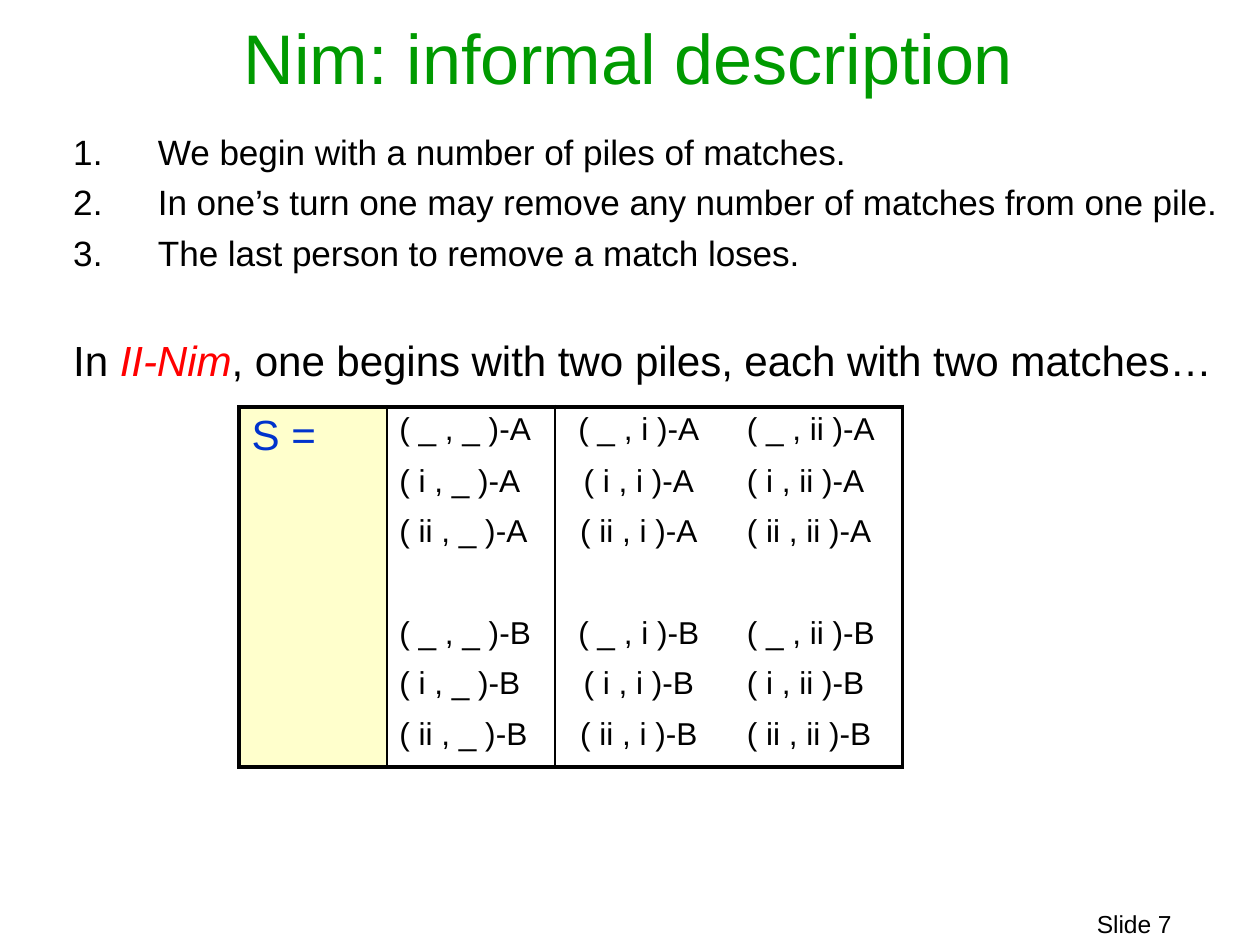
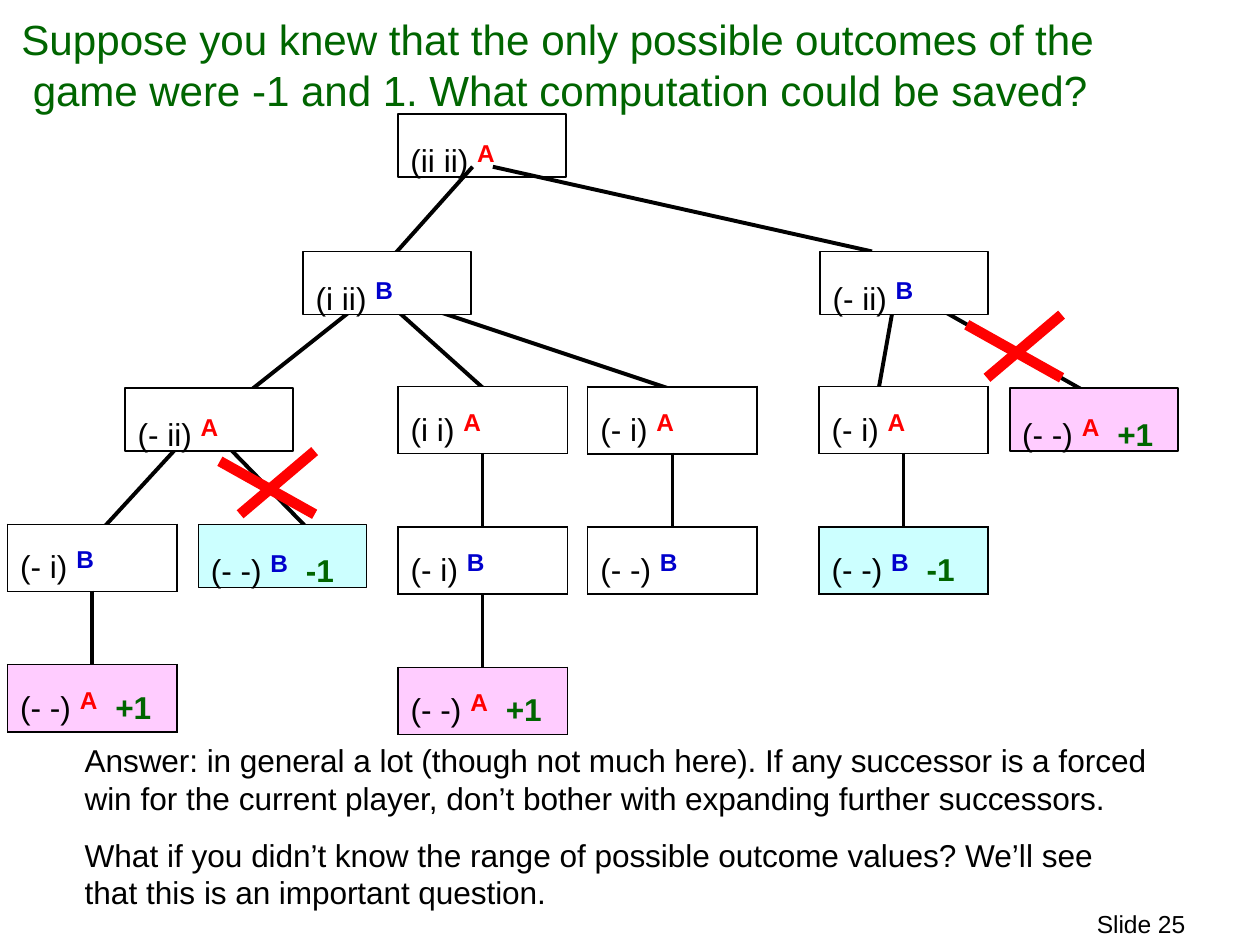
from dataclasses import dataclass
from typing import Optional

from lxml.etree import SubElement
from pptx import Presentation
from pptx.dml.color import RGBColor
from pptx.enum.shapes import MSO_CONNECTOR, MSO_SHAPE
from pptx.enum.text import MSO_ANCHOR, PP_ALIGN
from pptx.oxml.ns import qn
from pptx.util import Inches, Pt

FONT = "Arial"
BLACK, LINE, WHITE = "000000", "010101", "FFFFFF"
TITLE_GREEN, DARK_GREEN = "009A00", "006500"
RED, CROSS_RED, BLUE, TABLE_BLUE = "FF0000", "FF0101", "0000CC", "0033CC"
PINK, CYAN, YELLOW = "FFCCFF", "CCFFFF", "FFFFCC"
PLAYER_COLORS = {"A": RED, "B": BLUE}
TIGHT = -0.05


@dataclass
class Span:
    text: str
    size: float = 18
    color: str = BLACK
    bold: bool = False
    italic: bool = False
    raised: bool = False
    spacing: float = 0


@dataclass
class Line:
    spans: list[Span]
    before: float = 0
    numbered: bool = False
    left: float = 0.01
    first: float = 0


@dataclass
class Position:
    state: str
    player: str
    value: str = ""
    fill: Optional[str] = WHITE


@dataclass
class Node:
    left: float
    top: float
    position: Position


@dataclass
class Chain:
    left: float
    top: float
    positions: list[Position]
    rule: float = 1


@dataclass
class Edge:
    x1: float
    y1: float
    x2: float
    y2: float
    color: str = LINE
    width: float = 2.25


def rgb(color: str) -> RGBColor:
    return RGBColor.from_string(color)


def alternating(text: str, size: float, color: str = BLACK, first: float = TIGHT) -> list[Span]:
    spacings = (first, TIGHT - first)
    return [Span(piece, size, color, spacing=spacings[index % 2])
            for index, piece in enumerate(text.split("|"))]


def position_spans(position: Position) -> list[Span]:
    color = PLAYER_COLORS[position.player]
    spans = [Span(f"({position.state}) "),
             Span(position.player, 24, color, bold=True, raised=True)]
    if position.value:
        spans.append(Span(" ", 24, color, bold=True, raised=True, spacing=6.3))
        spans.append(Span(position.value, 18, DARK_GREEN, bold=True, spacing=TIGHT))
    return spans


def write_spans(para, spans: list[Span]) -> None:
    for span in spans:
        run = para.add_run()
        run.text = span.text
        run.font.name = FONT
        run.font.size = Pt(span.size)
        run.font.bold = span.bold
        run.font.italic = span.italic
        run.font.color.rgb = rgb(span.color)
        properties = run.font._element
        if span.raised:
            properties.set("baseline", "24000")
        if span.spacing:
            properties.set("spc", str(round(span.spacing * 100)))


def write_lines(frame, lines: list[Line]) -> None:
    for index, line in enumerate(lines):
        para = frame.add_paragraph() if index else frame.paragraphs[0]
        if line.before:
            para.space_before = Pt(line.before)
        properties = para._p.get_or_add_pPr()
        properties.set("marL", str(Inches(line.left)))
        properties.set("indent", str(Inches(line.first)))
        if line.numbered:
            SubElement(properties, qn("a:buAutoNum"), type="arabicPeriod")
        write_spans(para, line.spans)


def set_insets(target, left: float = 0, top: float = 0) -> None:
    target.margin_left, target.margin_top = Inches(left), Inches(top)
    target.margin_right = target.margin_bottom = 0
    target.vertical_anchor = MSO_ANCHOR.TOP


def add_text(page, left: float, top: float, width: float, height: float,
             lines: list[Line]) -> None:
    box = page.shapes.add_textbox(Inches(left), Inches(top), Inches(width), Inches(height))
    set_insets(box.text_frame)
    box.text_frame.word_wrap = True
    write_lines(box.text_frame, lines)


def add_page(deck, number: int):
    page = deck.slides.add_slide(deck.slide_layouts[6])
    add_text(page, 8.67, 7.19, 0.9, 0.25, [Line([Span(f"Slide {number}", 14, spacing=TIGHT)])])
    return page


def add_edge(page, edge: Edge) -> None:
    connector = page.shapes.add_connector(
        MSO_CONNECTOR.STRAIGHT, Inches(edge.x1), Inches(edge.y1),
        Inches(edge.x2), Inches(edge.y2))
    connector.line.color.rgb = rgb(edge.color)
    connector.line.width = Pt(edge.width)
    SubElement(connector._element.spPr, qn("a:effectLst"))


def add_cross(page, left: float, top: float) -> None:
    right, bottom = left + 0.75, top + 0.5
    add_edge(page, Edge(left + 0.16, bottom, right, top, CROSS_RED, 6))
    add_edge(page, Edge(right, bottom, left, top + 0.08, CROSS_RED, 6))


def add_node(page, node: Node) -> None:
    box = page.shapes.add_shape(
        MSO_SHAPE.RECTANGLE, Inches(node.left), Inches(node.top), Inches(1.33), Inches(0.5))
    box.shadow.inherit = False
    if node.position.fill:
        box.fill.solid()
        box.fill.fore_color.rgb = rgb(node.position.fill)
    else:
        box.fill.background()
    box.line.color.rgb = rgb(LINE)
    box.line.width = Pt(1)
    set_insets(box.text_frame, 0.1, 0.13)
    box.text_frame.word_wrap = True
    para = box.text_frame.paragraphs[0]
    para.alignment = PP_ALIGN.LEFT
    write_spans(para, position_spans(node.position))


def add_grid(page, left: float, top: float, widths: list[float], heights: list[float]):
    frame = page.shapes.add_table(
        len(heights), len(widths), Inches(left), Inches(top),
        Inches(sum(widths)), Inches(sum(heights)))
    table = frame.table
    table.first_row = table.horz_banding = False
    for column, width in zip(table.columns, widths):
        column.width = Inches(width)
    for row, height in zip(table.rows, heights):
        row.height = Inches(height)
    for cell in table.iter_cells():
        set_insets(cell)
    return table


def style_cell(cell, fill: Optional[str], borders: dict[str, float]) -> None:
    properties = cell._tc.get_or_add_tcPr()
    for side in ("L", "R", "T", "B"):
        width = borders.get(side, 0)
        border = SubElement(properties, qn(f"a:ln{side}"), w=str(Pt(width)))
        if width:
            paint = SubElement(border, qn("a:solidFill"))
            SubElement(paint, qn("a:srgbClr"), val=LINE)
        else:
            SubElement(border, qn("a:noFill"))
    if fill:
        cell.fill.solid()
        cell.fill.fore_color.rgb = rgb(fill)
    else:
        cell.fill.background()


def add_chain(page, chain: Chain) -> None:
    count = len(chain.positions) * 2 - 1
    table = add_grid(page, chain.left, chain.top, [0.67, 0.67],
                     [0.58 if row % 2 else 0.5 for row in range(count)])
    edges = {"T": chain.rule, "B": chain.rule}
    for row in range(count):
        first, second = table.cell(row, 0), table.cell(row, 1)
        if row % 2:
            style_cell(first, None, edges | {"R": 2.25})
            style_cell(second, None, edges | {"L": 2.25})
            continue
        position = chain.positions[row // 2]
        for cell in (first, second):
            style_cell(cell, position.fill, edges | {"L": 1, "R": 1})
        first.merge(second)
        set_insets(first, 0.1, 0.13)
        write_spans(first.text_frame.paragraphs[0], position_spans(position))


def add_state_table(page) -> None:
    heights = [0.41, 0.4, 0.6, 0.6, 0.4, 0.39]
    last = len(heights) - 1
    piles = ("_", "i", "ii")
    table = add_grid(page, 1.89, 3.22, [1.17, 1.33, 1.33, 1.42], heights)
    for row in range(len(heights)):
        style_cell(table.cell(row, 0), YELLOW, {"L": 2.25, "T": 2.25, "R": 1.5, "B": 2.25})
        for column, (pile, inset) in enumerate(zip(piles, (0.1, 0, 0.19)), 1):
            cell = table.cell(row, column)
            set_insets(cell, inset, 0.24 if row == 3 else 0.04)
            para = cell.text_frame.paragraphs[0]
            para.alignment = PP_ALIGN.CENTER if column == 2 else PP_ALIGN.LEFT
            write_spans(para, [Span(f"( {piles[row % 3]} , {pile} )-{'AB'[row // 3]}")])
            style_cell(cell, None, {
                "L": (1.5, 1.5, 0)[column - 1], "R": (1.5, 0, 2.25)[column - 1],
                "T": 3 if row == 0 else 0, "B": 3 if row == last else 0})
    label = table.cell(0, 0)
    label.merge(table.cell(last, 0))
    set_insets(label, 0.1, 0.04)
    write_spans(label.text_frame.paragraphs[0], [Span("S =", 24, TABLE_BLUE)])


def build_description(deck) -> None:
    page = add_page(deck, 7)
    add_text(page, 1.92, 0.11, 6.5, 0.7,
             [Line([Span("Nim: informal description", 40, TITLE_GREEN, spacing=TIGHT)])])
    rules = ("We begin with a number of piles of matches.",
             "In one’s turn one may remove any number of matches from one pile.",
             "The last person to remove a match loses.")
    lines = [Line([Span(rule, 20, spacing=TIGHT)], 4.8 if index else 0, True, 0.68, -0.67)
             for index, rule in enumerate(rules)]
    lines.append(Line([
        Span("In ", 24, spacing=TIGHT),
        Span("II-Nim", 24, RED, italic=True, spacing=TIGHT),
        *alternating(", one begins with |two |piles, each with |two matches…", 24),
    ], 35))
    add_text(page, 0.57, 1.03, 9.3, 2.1, lines)
    add_state_table(page)


def build_tree(deck) -> None:
    page = add_page(deck, 25)
    question = ("Suppose you knew that the |only possible outcomes of |the |game were |-1 "
                "|and 1. |What computation could |be |saved?")
    add_text(page, 0.16, 0.11, 8.54, 0.83,
             [Line(alternating(question, 24, DARK_GREEN, 0), left=0.1, first=-0.09)])
    edges = [
        Edge(3.74, 1.32, 3.07, 2.07), Edge(3.9, 1.32, 6.9, 1.99),
        Edge(2.84, 2.41, 1.88, 3.17), Edge(3.11, 2.43, 3.9, 3.14),
        Edge(3.36, 2.43, 5.4, 3.11), Edge(7.07, 2.42, 6.94, 3.15),
        Edge(7.39, 2.42, 8.68, 3.15), Edge(1.43, 3.51, 0.76, 4.24),
        Edge(1.77, 3.5, 2.51, 4.26),
    ]
    for edge in edges:
        add_edge(page, edge)
    win_a = Position("- -", "A", "+1", PINK)
    win_b = Position("- -", "B", "-1", CYAN)
    one_a, one_b = Position("- i", "A"), Position("- i", "B")
    nodes = [
        Node(3.15, 0.9, Position("ii ii", "A", fill=None)),
        Node(2.4, 1.99, Position("i ii", "B")),
        Node(6.49, 1.99, Position("- ii", "B")),
        Node(0.99, 3.07, Position("- ii", "A")),
        Node(7.99, 3.07, win_a),
        Node(1.57, 4.15, win_b),
    ]
    for node in nodes:
        add_node(page, node)
    chains = [
        Chain(4.65, 3.06, [one_a, Position("- -", "B")], 1.5),
        Chain(6.48, 3.06, [one_a, win_b]),
        Chain(3.15, 3.06, [Position("i i", "A"), one_b, win_a]),
        Chain(0.06, 4.15, [one_b, win_a]),
    ]
    for chain in chains:
        add_chain(page, chain)
    add_cross(page, 1.74, 3.57)
    add_cross(page, 7.65, 2.49)
    answer = ("Answer: in general |a |lot (though not much here). |If |any successor is |a forced "
              "|win |for the |current player, don’t bother with expanding |further |successors.")
    follow_up = ("What |if |you |didn’t |know the range |of possible outcome "
                 "|values? We’ll see that this |is an important question.")
    add_text(page, 0.66, 5.86, 8.45, 1.38,
             [Line(alternating(answer, 18)), Line(alternating(follow_up, 18, first=0), 10.9)])


def main() -> None:
    deck = Presentation()
    deck.slide_width, deck.slide_height = Inches(9.97), Inches(7.47)
    build_description(deck)
    build_tree(deck)
    deck.save("out.pptx")


if __name__ == "__main__":
    main()
